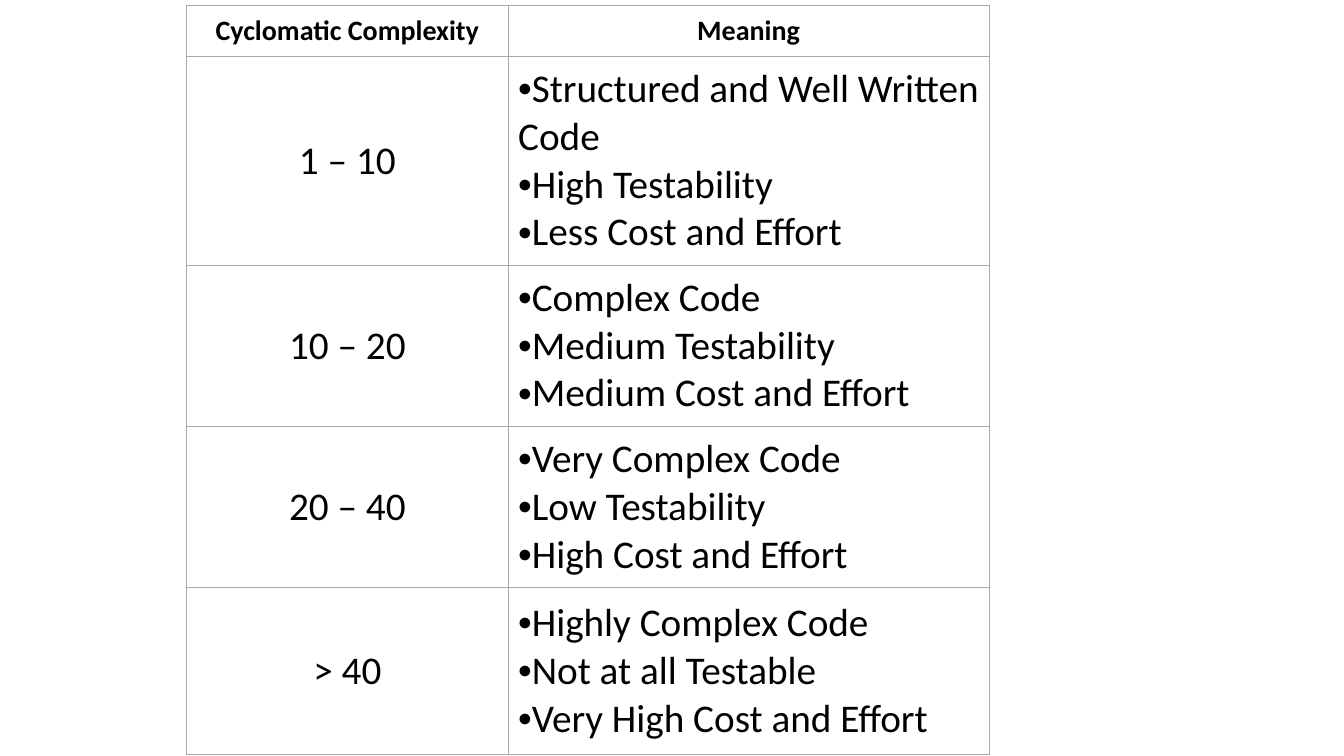
from pptx import Presentation
from pptx.dml.color import RGBColor
from pptx.enum.text import MSO_ANCHOR, PP_ALIGN
from pptx.oxml.ns import qn
from pptx.util import Inches, Pt
from lxml import etree

CENTER, LEFT = PP_ALIGN.CENTER, PP_ALIGN.LEFT
MIDDLE = MSO_ANCHOR.MIDDLE

# Content
HEADERS = ("Cyclomatic Complexity", "Meaning")
LEVELS = [
    ("1 – 10", ["Structured and Well Written Code", "High Testability", "Less Cost and Effort"]),
    ("10 – 20", ["Complex Code", "Medium Testability", "Medium Cost and Effort"]),
    ("20 – 40", ["Very Complex Code", "Low Testability", "High Cost and Effort"]),
    ("> 40", ["Highly Complex Code", "Not at all Testable", "Very High Cost and Effort"]),
]

# Layout
TABLE_LEFT, TABLE_TOP = 1.85, 0.05
COLUMN_WIDTHS = (3.19, 4.77)
ROW_HEIGHTS = (0.51, 2.07, 1.6, 1.6, 1.66)
MARGIN_X, MARGIN_Y = 0.1, 0.08


class Theme:
    font = "Calibri"
    text = RGBColor.from_string("000000")
    fill = RGBColor.from_string("FFFFFF")
    border = "AAAAAA"
    border_width = Pt(0.75)
    header_size = Pt(20)
    body_size = Pt(28)


def add_borders(cell):
    properties = cell._tc.get_or_add_tcPr()
    for index, side in enumerate(("a:lnL", "a:lnR", "a:lnT", "a:lnB")):
        line = etree.Element(qn(side), w=str(Theme.border_width))
        solid = etree.SubElement(line, qn("a:solidFill"))
        etree.SubElement(solid, qn("a:srgbClr"), val=Theme.border)
        properties.insert(index, line)


def add_bullet(paragraph):
    properties = paragraph._p.get_or_add_pPr()
    properties.set("marL", "0")
    properties.set("indent", "0")
    etree.SubElement(properties, qn("a:buFont"), typeface="Arial")
    etree.SubElement(properties, qn("a:buChar"), char="•")


def fill_cell(cell, lines, size, bold=False, bulleted=False):
    cell.margin_left = cell.margin_right = Inches(MARGIN_X)
    cell.margin_top = cell.margin_bottom = Inches(MARGIN_Y)
    cell.vertical_anchor = MIDDLE
    cell.fill.solid()
    cell.fill.fore_color.rgb = Theme.fill
    add_borders(cell)
    cell.text_frame.text = "\n".join(lines)
    for paragraph in cell.text_frame.paragraphs:
        paragraph.alignment = LEFT if bulleted else CENTER
        if bulleted:
            add_bullet(paragraph)
        for run in paragraph.runs:
            run.font.name = Theme.font
            run.font.size = size
            run.font.bold = bold
            run.font.color.rgb = Theme.text


def main():
    presentation = Presentation()
    presentation.slide_width = Inches(13.33)
    presentation.slide_height = Inches(7.5)
    slide = presentation.slides.add_slide(presentation.slide_layouts[6])

    # Table grid
    table = slide.shapes.add_table(
        len(ROW_HEIGHTS), len(COLUMN_WIDTHS), Inches(TABLE_LEFT), Inches(TABLE_TOP),
        Inches(sum(COLUMN_WIDTHS)), Inches(sum(ROW_HEIGHTS))).table
    table.horz_banding = False
    for column, width in zip(table.columns, COLUMN_WIDTHS):
        column.width = Inches(width)
    for row, height in zip(table.rows, ROW_HEIGHTS):
        row.height = Inches(height)

    # Header row
    for column_index, header in enumerate(HEADERS):
        fill_cell(table.cell(0, column_index), [header], Theme.header_size, bold=True)

    # Complexity levels
    for row_index, (score, meanings) in enumerate(LEVELS, start=1):
        fill_cell(table.cell(row_index, 0), [score], Theme.body_size)
        fill_cell(table.cell(row_index, 1), meanings, Theme.body_size, bulleted=True)

    presentation.save("out.pptx")


if __name__ == "__main__":
    main()
